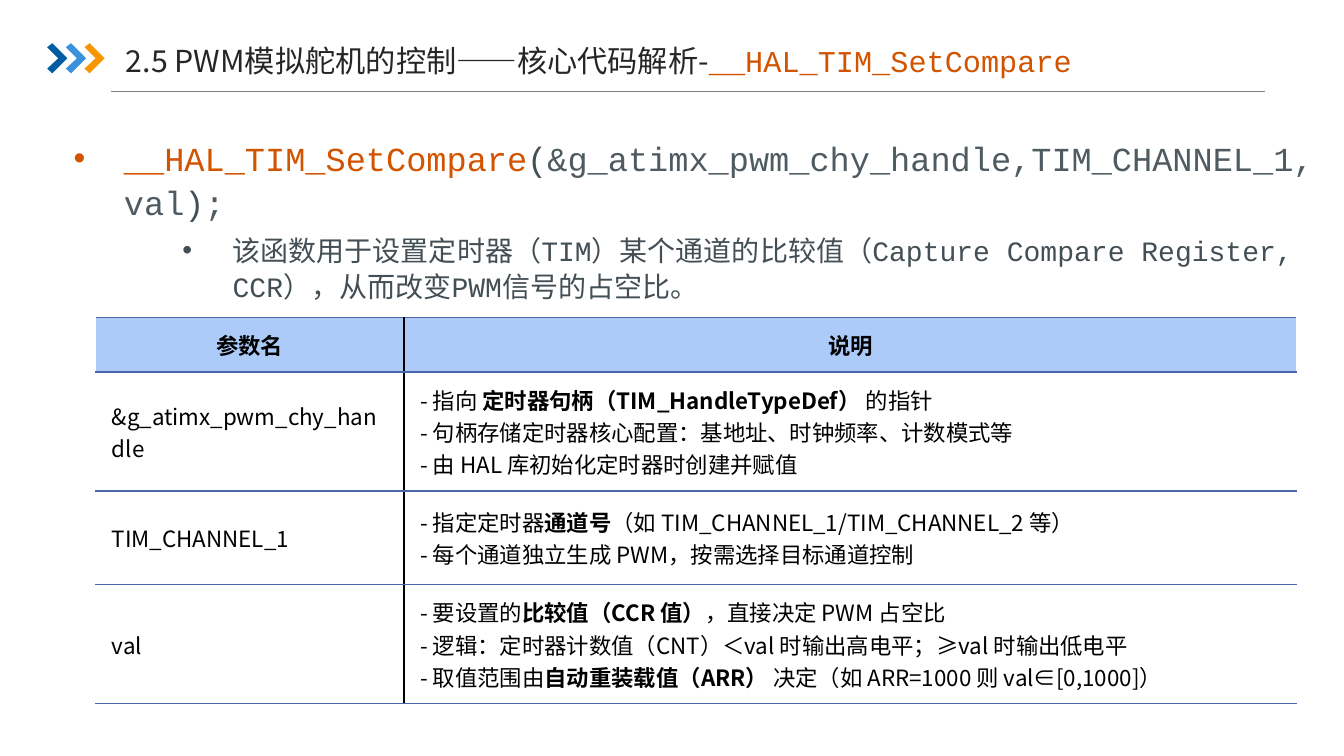
"""Slide explaining the parameters of __HAL_TIM_SetCompare."""
from dataclasses import dataclass
from typing import Optional

from lxml import etree
from pptx import Presentation
from pptx.dml.color import RGBColor
from pptx.enum.shapes import MSO_CONNECTOR
from pptx.enum.text import MSO_ANCHOR, MSO_AUTO_SIZE, PP_ALIGN
from pptx.oxml.ns import qn
from pptx.util import Cm, Pt

LINE = MSO_CONNECTOR.STRAIGHT
MIDDLE, TOP = MSO_ANCHOR.MIDDLE, MSO_ANCHOR.TOP
NO_FIT = MSO_AUTO_SIZE.NONE
LEFT, CENTER = PP_ALIGN.LEFT, PP_ALIGN.CENTER


@dataclass(frozen=True)
class Theme:
    sans: str = "Noto Sans CJK SC"
    mono: str = "Courier New"
    title: float = 21.6
    code: float = 24
    note: float = 20
    cell: float = 16
    ink: str = "262626"
    call: str = "D35400"
    mark: str = "434F54"
    arg: str = "4E5B61"
    black: str = "000000"
    white: str = "FFFFFF"
    head: str = "ACCBF9"
    edge: str = "4A66AC"
    rule: str = "808080"


@dataclass(frozen=True)
class Arrow:
    left: float
    color: str


@dataclass(frozen=True)
class Row:
    name: str
    text: str
    high: float
    head: bool = False


THEME = Theme()
CALL = "__HAL_TIM_SetCompare"
ARROWS = [Arrow(1.19 + 0.47 * i, color)
          for i, color in enumerate(("005DA2", "3992DB", "F79600"))]
ARROW_TOP = 1.09
ARROW_DOTS = [(0, 0.1), (0.13, 0), (0.51, 0.38), (0.13, 0.76), (0, 0.64), (0.28, 0.38)]
ROWS = [
    Row("*参数名*", "*说明*", 0.91, True),
    Row("&g_atimx_pwm_chy_handle",
        "- 指向 *定时器句柄（TIM_HandleTypeDef）* 的指针\n"
        "- 句柄存储定时器核心配置：基地址、时钟频率、计数模式等\n"
        "- 由 HAL 库初始化定时器时创建并赋值", 2.87),
    Row("TIM_CHANNEL_1",
        "- 指定定时器*通道号*（如 TIM_CHANNEL_1/TIM_CHANNEL_2 等）\n"
        "- 每个通道独立生成 PWM，按需选择目标通道控制", 2.36),
    Row("val",
        "- 要设置的*比较值（CCR 值）*，直接决定 PWM 占空比\n"
        "- 逻辑：定时器计数值（CNT）＜val 时输出高电平；≥val 时输出低电平\n"
        "- 取值范围由*自动重装载值（ARR） *决定（如 ARR=1000 则 val∈[0,1000]）", 2.87),
]


def write(para, text: str, *, size: float, color: str,
          font: str = THEME.sans, bold: bool = False) -> None:
    for i, line in enumerate(text.split("\n")):
        if i:
            para.add_line_break()
        if not line:
            continue
        run = para.add_run()
        run.text = line
        run.font.size = Pt(size)
        run.font.bold = bold
        run.font.color.rgb = RGBColor.from_string(color)
        run.font.name = font
        etree.SubElement(run.font._element, qn("a:ea"), typeface=THEME.sans)


def place(shape, left: float, top: float, wide: float, high: float, anchor):
    shape.left, shape.top, shape.width, shape.height = map(Cm, (left, top, wide, high))
    frame = shape.text_frame
    frame.auto_size = NO_FIT
    frame.word_wrap = True
    frame.vertical_anchor = anchor
    return frame


def bullet(para, left: float, before: float) -> None:
    props = para._p.get_or_add_pPr()
    props.set("marL", str(Cm(left)))
    props.set("indent", str(Cm(-1.27)))
    para.line_spacing = 1.1
    para.space_before = Pt(before)
    etree.SubElement(props, qn("a:buFont"), typeface="Arial")
    etree.SubElement(props, qn("a:buChar"), char="•")


def draw_arrow(slide, arrow: Arrow) -> None:
    dots = [(Cm(arrow.left + x), Cm(ARROW_TOP + y)) for x, y in ARROW_DOTS]
    form = slide.shapes.build_freeform(*dots[0])
    form.add_line_segments(dots[1:], close=True)
    shape = form.convert_to_shape()
    shape.shadow.inherit = False
    shape.fill.solid()
    shape.fill.fore_color.rgb = RGBColor.from_string(arrow.color)
    shape.line.fill.background()


def draw_rule(slide) -> None:
    rule = slide.shapes.add_connector(LINE, Cm(2.79), Cm(2.31), Cm(31.88), Cm(2.31))
    rule.line.color.rgb = RGBColor.from_string(THEME.rule)
    rule.line.width = Pt(0.5)
    etree.SubElement(rule._element.spPr, qn("a:effectLst"))


def draw_title(slide) -> None:
    para = place(slide.shapes.title, 2.92, 1.04, 29.41, 1.09, MIDDLE).paragraphs[0]
    para.alignment = LEFT
    para.line_spacing = 0.9
    write(para, "2.5 PWM模拟舵机的控制——核心代码解析-", size=THEME.title, color=THEME.ink)
    write(para, CALL, size=THEME.title, color=THEME.call, font=THEME.mono)


def draw_body(slide) -> None:
    frame = place(slide.placeholders[1], 1.6, 3.25, 31.9, 3.61, TOP)
    code = frame.paragraphs[0]
    bullet(code, 1.27, 0)
    for text, color in ((CALL, THEME.call), ("(", THEME.mark),
                        ("&g_atimx_pwm_chy_handle,TIM_CHANNEL_1,val", THEME.arg),
                        (")", THEME.mark), (";", THEME.arg)):
        write(code, text, size=THEME.code, color=color, font=THEME.mono)
    note = frame.add_paragraph()
    note.level = 1
    bullet(note, 4.01, 5)
    write(note, "该函数用于设置定时器（TIM）某个通道的比较值（Capture Compare Register, "
          "CCR），从而改变PWM信号的占空比。",
          size=THEME.note, color=THEME.mark, font=THEME.mono)


def border(cell, side: str, color: str) -> None:
    line = etree.SubElement(cell._tc.get_or_add_tcPr(), qn(f"a:ln{side}"), w=str(Pt(1)))
    fill = etree.SubElement(line, qn("a:solidFill"))
    etree.SubElement(fill, qn("a:srgbClr"), val=color)


def fill_cell(cell, text: str, side: str, head: bool) -> None:
    cell.margin_left = cell.margin_right = Cm(0.41)
    cell.margin_top = cell.margin_bottom = Cm(0.28)
    cell.vertical_anchor = MIDDLE
    border(cell, side, THEME.black)
    for edge in "TB":
        border(cell, edge, THEME.edge)
    cell.fill.solid()
    cell.fill.fore_color.rgb = RGBColor.from_string(THEME.head if head else THEME.white)
    para = cell.text_frame.paragraphs[0]
    para.alignment = CENTER if head else LEFT
    for i, part in enumerate(text.split("*")):
        write(para, part, size=THEME.cell, color=THEME.black, bold=i % 2 == 1)


def draw_table(slide, rows: list[Row], style: Optional[bool] = False) -> None:
    high = sum(row.high for row in rows)
    table = slide.shapes.add_table(len(rows), 2, Cm(2.41), Cm(8), Cm(30.27), Cm(high)).table
    table.first_row = table.horz_banding = style
    for col, wide in zip(table.columns, (7.77, 22.5)):
        col.width = Cm(wide)
    for i, row in enumerate(rows):
        table.rows[i].height = Cm(row.high)
        fill_cell(table.cell(i, 0), row.name, "R", row.head)
        fill_cell(table.cell(i, 1), row.text, "L", row.head)


def main() -> None:
    deck = Presentation()
    deck.slide_width, deck.slide_height = Cm(33.87), Cm(19.05)
    slide = deck.slides.add_slide(deck.slide_layouts[1])
    draw_rule(slide)
    for arrow in ARROWS:
        draw_arrow(slide, arrow)
    draw_title(slide)
    draw_body(slide)
    draw_table(slide, ROWS)
    deck.save("out.pptx")


if __name__ == "__main__":
    main()
